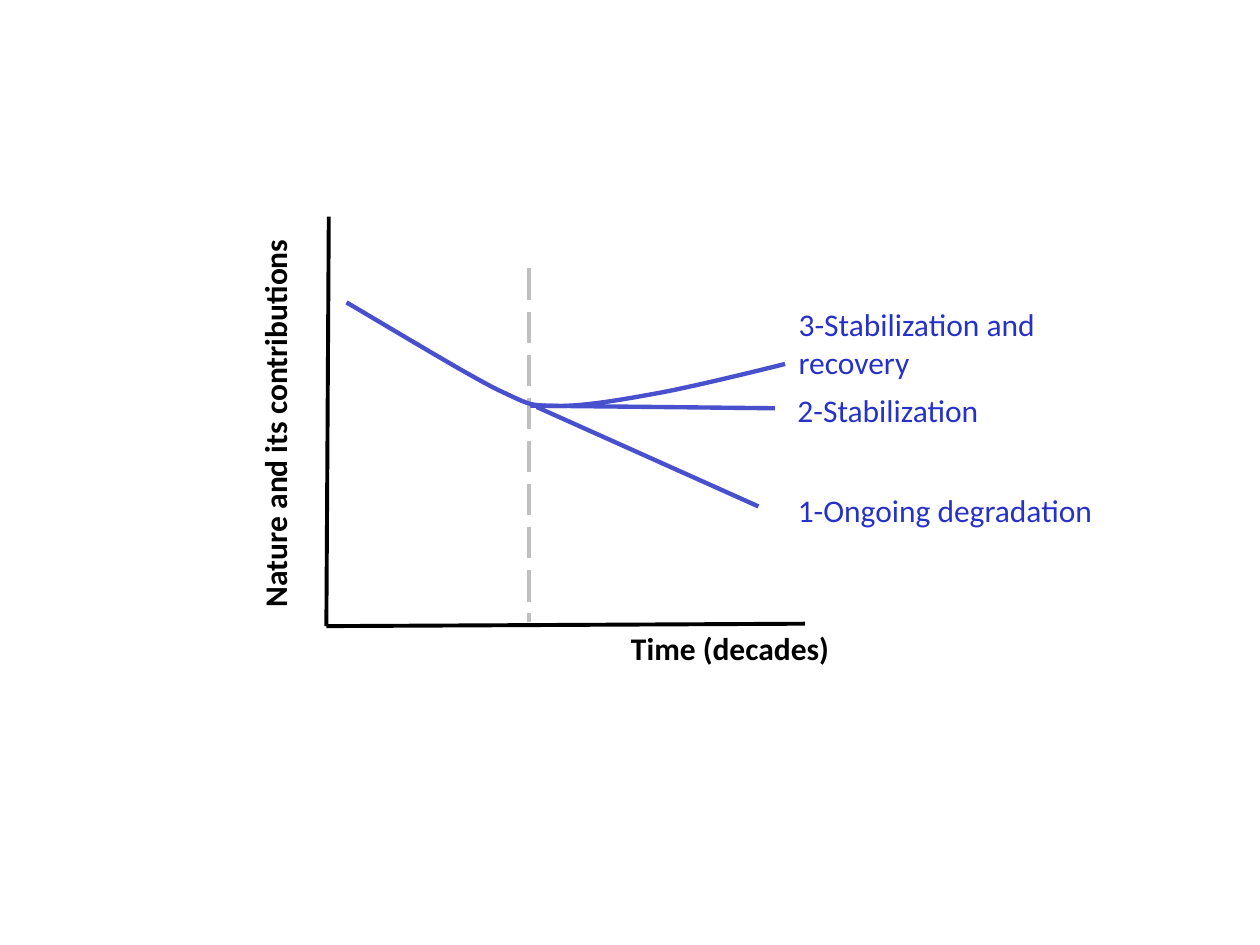
from dataclasses import dataclass

from lxml import etree
from pptx import Presentation
from pptx.dml.color import RGBColor
from pptx.enum.dml import MSO_LINE
from pptx.enum.shapes import MSO_CONNECTOR
from pptx.enum.text import MSO_AUTO_SIZE
from pptx.oxml.ns import qn
from pptx.util import Pt

STRAIGHT = MSO_CONNECTOR.STRAIGHT
LONG_DASH = MSO_LINE.LONG_DASH
GROW = MSO_AUTO_SIZE.SHAPE_TO_FIT_TEXT


@dataclass(frozen=True)
class Theme:
    font: str = "Calibri"
    size: float = 18
    axis: str = "000000"
    today: str = "BFBFBF"
    trend: str = "4950CE"
    label: str = "2631C8"
    axis_width: float = 2.25
    trend_width: float = 2.5


THEME = Theme()


def style_line(line, color, width, dash=None):
    line.color.rgb = RGBColor.from_string(color)
    line.width = Pt(width)
    if dash is not None:
        line.dash_style = dash


def add_line(page, start, end, color, width, dash=None):
    connector = page.shapes.add_connector(
        STRAIGHT, *(Pt(value) for value in (*start, *end)))
    style_line(connector.line, color, width, dash)
    etree.SubElement(connector._element.spPr, qn("a:effectLst"))


def bezier_point(corners, t):
    weights = ((1 - t) ** 3, 3 * t * (1 - t) ** 2, 3 * t * t * (1 - t), t ** 3)
    return tuple(
        Pt(sum(weight * corner[axis] for weight, corner in zip(weights, corners)))
        for axis in (0, 1))


def add_curve(page, points, color, width, steps=16):
    vertices = [
        bezier_point(points[first:first + 4], step / steps)
        for first in range(0, len(points) - 1, 3)
        for step in range(1, steps + 1)]
    builder = page.shapes.build_freeform(*(Pt(value) for value in points[0]))
    builder.add_line_segments(vertices, close=False)
    curve = builder.convert_to_shape()
    curve.fill.background()
    curve.shadow.inherit = False
    style_line(curve.line, color, width)


def add_text(page, text, left, top, width, height=29, color=THEME.label,
             bold=False, rotation=0):
    box = page.shapes.add_textbox(Pt(left), Pt(top), Pt(width), Pt(height))
    box.rotation = rotation
    frame = box.text_frame
    frame.word_wrap = True
    frame.auto_size = GROW
    span = frame.paragraphs[0].add_run()
    span.text = text
    span.font.name = THEME.font
    span.font.size = Pt(THEME.size)
    span.font.bold = bold
    span.font.color.rgb = RGBColor.from_string(color)


def add_axes(page):
    origin = (186.5, 357.8)
    for end in ((187.9, 123.8), (460, 356.4)):
        add_line(page, origin, end, THEME.axis, THEME.axis_width)
    add_text(page, "Time (decades)", 353.5, 355.7, 130,
             color=THEME.axis, bold=True)
    add_text(page, "Nature and its contributions", 43.5, 226, 227,
             color=THEME.axis, bold=True, rotation=270)


def add_scenarios(page):
    add_line(page, (302.4, 153.4), (302.4, 355.7),
             THEME.today, THEME.axis_width, LONG_DASH)
    recovery = [
        (198, 172.8), (231, 192.2), (264.2, 212.4), (283.7, 222.4),
        (303.8, 231.8), (301.7, 231.5), (316.8, 232),
        (332.6, 232.4), (355.7, 228.4), (377.3, 224.4),
        (399.6, 220.3), (448.6, 208), (448.6, 208)]
    add_curve(page, recovery, THEME.trend, THEME.trend_width)
    for start, end in (((303.1, 231.8), (442.8, 233.3)),
                       ((306.7, 232.6), (433.4, 289.4))):
        add_line(page, start, end, THEME.trend, THEME.trend_width)
    for text, left, top, width, height in (
            ("1-Ongoing degradation", 448.8, 277.2, 186, 29),
            ("2-Stabilization", 448.6, 219.8, 120, 29),
            ("3-Stabilization and recovery", 449.3, 170.6, 159, 51)):
        add_text(page, text, left, top, width, height)


def main():
    deck = Presentation()
    deck.slide_width = Pt(720)
    deck.slide_height = Pt(540)
    page = deck.slides.add_slide(deck.slide_layouts[6])
    add_axes(page)
    add_scenarios(page)
    deck.save("out.pptx")


main()
